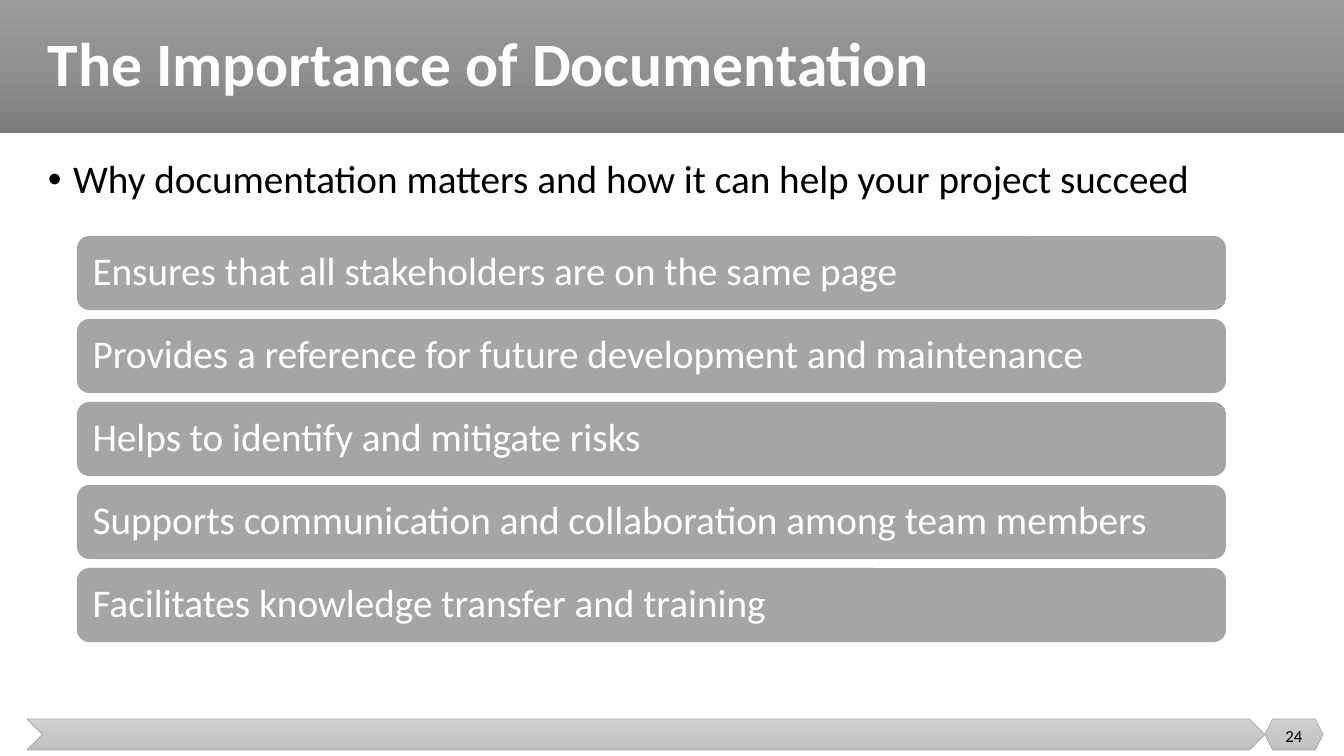
from copy import deepcopy

from lxml import etree
from pptx import Presentation
from pptx import util as u
from pptx.dml.color import RGBColor
from pptx.enum import shapes, text
from pptx.oxml.ns import qn

PX = 914400 / 100.8
COLORS = {"white": "FFFFFF", "black": "000000", "gray": "A5A5A5"}
HEADER_STOPS = ["9D9D9D", "909090", "7C7C7C"]
FOOTER_STOPS = ["D2D2D2", "C8C8C8", "C0C0C0"]
KIND = shapes.MSO_SHAPE


def add_panel(kind, left, top, width, height, stops):
    """Add a preset shape with a solid fill or a top-to-bottom gradient."""
    panel = page.shapes.add_shape(kind, *(round(n * PX) for n in (left, top, width, height)))
    panel.shadow.inherit = False
    panel.line.fill.background()
    if len(stops) == 1:
        panel.fill.solid()
        panel.fill.fore_color.rgb = RGBColor.from_string(stops[0])
        return panel
    panel.fill.gradient()
    panel.fill.gradient_angle = 270
    stop_list = panel.element.spPr.find(".//" + qn("a:gsLst"))
    stop_list.insert(1, deepcopy(stop_list[0]))
    for index, (stop, color) in enumerate(zip(panel.fill.gradient_stops, stops)):
        stop.position = index / 2
        stop.color.rgb = RGBColor.from_string(color)
    return panel


def write(box, words, size, color, spacing=0.9, align=text.PP_ALIGN.LEFT,
          anchor=text.MSO_ANCHOR.MIDDLE, bold=False):
    frame = box.text_frame
    frame.word_wrap = True
    frame.vertical_anchor = anchor
    para = frame.paragraphs[0]
    para.alignment = align
    para.line_spacing = spacing
    span = para.add_run()
    span.text = words
    span.font.name = "Calibri"
    span.font.size = u.Pt(size)
    span.font.bold = bold
    span.font.color.rgb = RGBColor.from_string(COLORS[color])
    return para


deck = Presentation()
deck.slide_width = round(1344 * PX)
deck.slide_height = round(756 * PX)
page = deck.slides.add_slide(deck.slide_layouts[6])

# Header band and footer arrow
add_panel(KIND.RECTANGLE, 0, 0, 1344, 133, HEADER_STOPS)
for kind, left, width in [(KIND.CHEVRON, 27, 1238), (KIND.HEXAGON, 1265, 58)]:
    footer = add_panel(kind, left, 719, width, 31, FOOTER_STOPS)
    footer.line.color.rgb = RGBColor.from_string(COLORS["gray"])
    footer.line.width = u.Pt(0.5)

# Title, lead sentence and page number
title, lead, number = (
    page.shapes.add_textbox(*(round(n * PX) for n in place))
    for place in [(38, 0, 1284, 133), (38, 155, 1284, 523), (1265, 716, 58, 40)]
)
write(title, "The Importance of Documentation", 44, "white", bold=True)
lead_para = write(lead, "Why documentation matters and how it can help your project succeed",
                  28, "black", anchor=text.MSO_ANCHOR.TOP)
properties = lead_para._p.get_or_add_pPr()
properties.set("marL", str(u.Inches(0.25)))
properties.set("indent", str(-u.Inches(0.25)))
etree.SubElement(properties, qn("a:buFont"), typeface="Arial")
etree.SubElement(properties, qn("a:buChar"), char="•")
write(number, "24", 12, "black", spacing=1.0, align=text.PP_ALIGN.CENTER)

# Benefit bars
benefits = [
    "Ensures that all stakeholders are on the same page",
    "Provides a reference for future development and maintenance",
    "Helps to identify and mitigate risks",
    "Supports communication and collaboration among team members",
    "Facilitates knowledge transfer and training",
]
for row, benefit in enumerate(benefits):
    bar = add_panel(KIND.ROUNDED_RECTANGLE, 77, 236 + 83 * row, 1149, 74, [COLORS["gray"]])
    bar.text_frame.margin_left = bar.text_frame.margin_right = round(12 * PX)
    write(bar, benefit, 28, "white")

deck.save("out.pptx")
